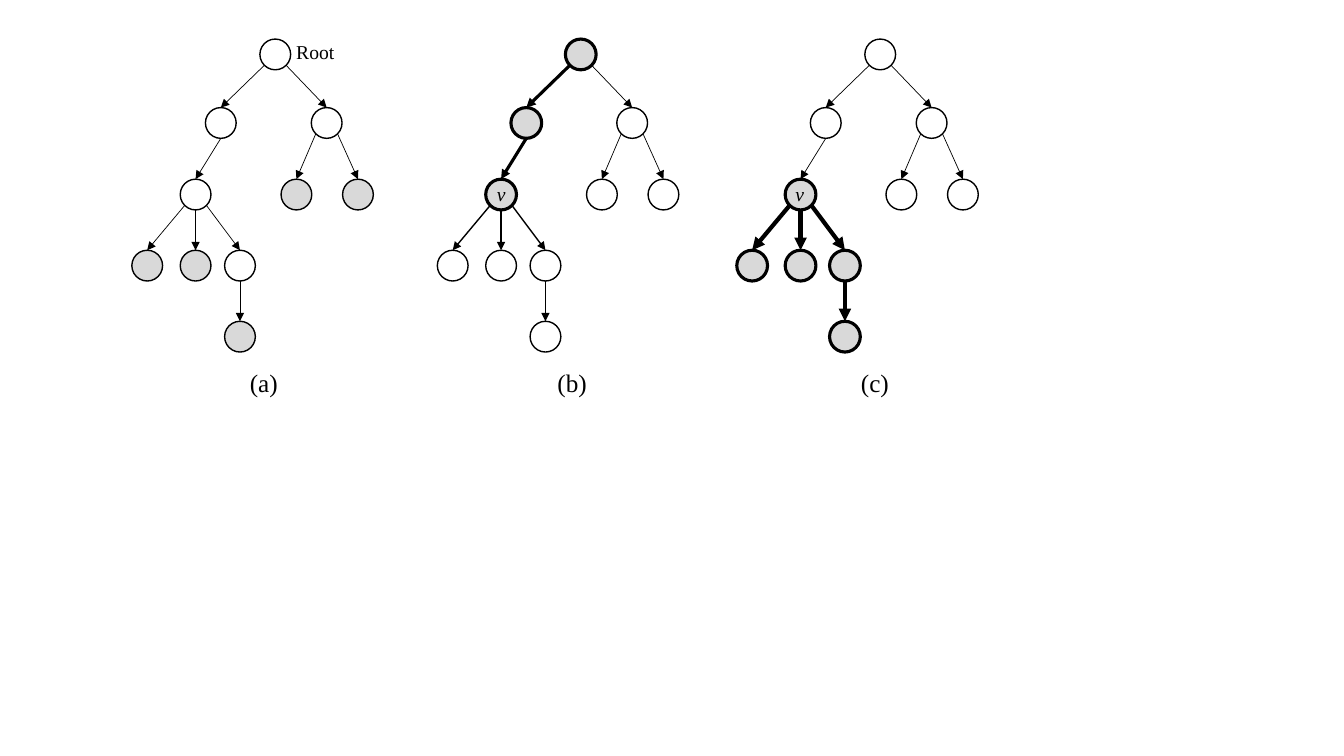
from dataclasses import dataclass, field
from math import sqrt

from lxml.etree import SubElement as Sub
from pptx import Presentation
from pptx.dml.color import RGBColor as RGB
from pptx.enum.shapes import MSO_CONNECTOR as Conn, MSO_SHAPE as Shape
from pptx.oxml.ns import qn
from pptx.util import Inches, Pt


@dataclass(frozen=True)
class Theme:
    """Colours, type sizes and line weights."""
    ink: RGB = RGB(0, 0, 0)
    plain: RGB = RGB(255, 255, 255)
    marked: RGB = RGB(0xD9, 0xD9, 0xD9)
    font: str = "Times New Roman"
    label: int = 14
    caption: int = 18
    thin: float = 0.5
    fine: float = 1
    bold: float = 2.25
    heavy: float = 3


@dataclass(frozen=True)
class Tree:
    """One panel: its root column, caption, marked nodes and edge weights."""
    col: float
    name: str
    shift: float
    marked: tuple
    rim: float
    edges: dict = field(default_factory=dict)
    label: tuple = ()


THEME = Theme()
CELL = 0.1
SIZE = 3.05
ROWS = (5.4, 12.2, 19.3, 26.35, 33.4)
CAPTION_ROW = 35.9
NODES = {
    "root": (0, 0), "left": (-5.4, 1), "right": (5.1, 1),
    "v": (-7.9, 2), "near": (2.1, 2), "far": (8.2, 2),
    "first": (-12.7, 3), "mid": (-7.9, 3), "last": (-3.5, 3),
    "deep": (-3.5, 4),
}
KIDS = {
    "root": ("left", "right"), "left": ("v",), "right": ("near", "far"),
    "v": ("first", "mid", "last"), "last": ("deep",),
}
BELOW = ("first", "mid", "last", "deep")
TREES = (
    Tree(27.3, "(a)", -3.5, ("near", "far", "first", "mid", "deep"),
         THEME.fine, label=("Root", 1.1, 3.5, False)),
    Tree(57.6, "(b)", -3.3, ("root", "left", "v"), THEME.bold,
         {"left": THEME.bold, "v": THEME.bold,
          **dict.fromkeys(BELOW, THEME.fine)},
         ("v", -9.3, 17.6, True)),
    Tree(87.3, "(c)", -2.9, ("v", *BELOW), THEME.bold,
         dict.fromkeys(BELOW, THEME.heavy), ("v", -9.4, 17.6, True)),
)


def grid(*cells):
    """Turn grid cells into slide lengths."""
    return [Inches(cell * CELL) for cell in cells]


def add_node(slide, x, y, fill, rim):
    """Draw a round node centred on a grid point."""
    node = slide.shapes.add_shape(
        Shape.OVAL, *grid(x - SIZE / 2, y - SIZE / 2, SIZE, SIZE))
    node.shadow.inherit = False
    node.fill.solid()
    node.fill.fore_color.rgb = fill
    node.line.color.rgb = THEME.ink
    node.line.width = Pt(rim)


def add_edge(slide, start, end, weight):
    """Draw an arrow between two grid points."""
    edge = slide.shapes.add_connector(Conn.STRAIGHT, *grid(*start, *end))
    edge.line.color.rgb = THEME.ink
    edge.line.width = Pt(weight)
    Sub(edge.line._get_or_add_ln(), qn("a:tailEnd"), type="triangle")
    Sub(edge._element.spPr, qn("a:effectLst"))


def add_text(slide, text, x, y, wide, high, size, italic=False):
    """Write one line of text in a box on the grid."""
    frame = slide.shapes.add_textbox(*grid(x, y, wide, high)).text_frame
    frame.word_wrap = True
    run = frame.paragraphs[0].add_run()
    run.text = text
    run.font.name = THEME.font
    run.font.size = Pt(size)
    run.font.italic = italic
    run.font.color.rgb = THEME.ink


def leave(start, end, alone):
    """Find where an edge leaves its parent: the base or a lower corner."""
    (x, y), reach = start, SIZE / 2
    if alone or end[0] == x:
        return x, y + reach
    step = reach / sqrt(2)
    return x + (step if end[0] > x else -step), y + step


def add_tree(slide, tree):
    """Draw one tree with its edges, label and caption."""
    spots = {key: (tree.col + dx, ROWS[level])
             for key, (dx, level) in NODES.items()}
    for key, spot in spots.items():
        on = key in tree.marked
        add_node(slide, *spot, THEME.marked if on else THEME.plain,
                 tree.rim if on else THEME.fine)
    for parent, kids in KIDS.items():
        for kid in kids:
            x, y = spots[kid]
            start = leave(spots[parent], (x, y), len(kids) == 1)
            add_edge(slide, start, (x, y - SIZE / 2),
                     tree.edges.get(kid, THEME.thin))
    if tree.label:
        text, dx, y, italic = tree.label
        add_text(slide, text, tree.col + dx, y, 7.6, 3.4,
                 THEME.label, italic)
    add_text(slide, tree.name, tree.col + tree.shift, CAPTION_ROW, 5.8, 4,
             THEME.caption)


def main():
    """Build the slide with its three trees."""
    deck = Presentation()
    deck.slide_width, deck.slide_height = Inches(13.33), Inches(7.5)
    slide = deck.slides.add_slide(deck.slide_layouts[6])
    for tree in TREES:
        add_tree(slide, tree)
    deck.save("out.pptx")


main()
